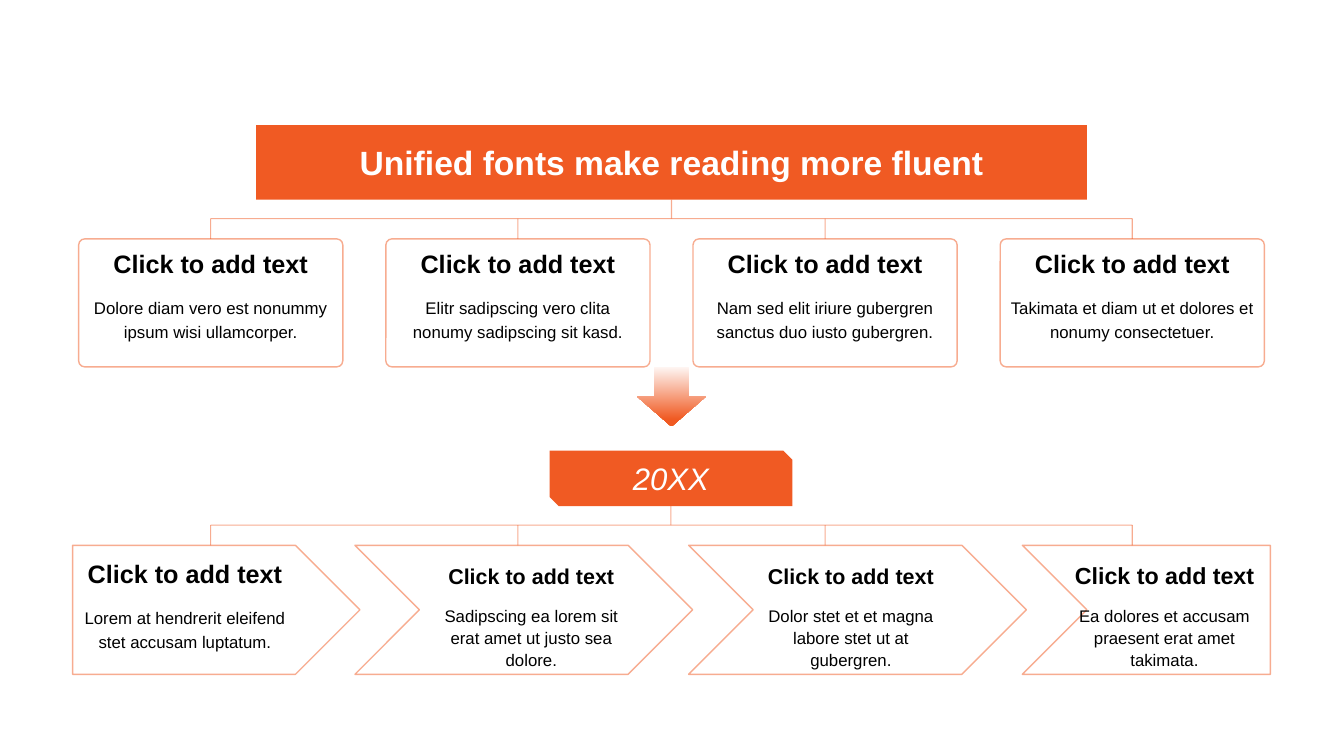
from dataclasses import dataclass

from lxml import etree
from pptx import Presentation
from pptx import util as u
from pptx.dml.color import RGBColor
from pptx.enum import shapes, text
from pptx.oxml import ns


@dataclass(frozen=True)
class Theme:
    font: str = "Arial"
    accent: RGBColor = RGBColor(0xF0, 0x5A, 0x23)
    pale: RGBColor = RGBColor(0xFE, 0xF7, 0xF4)
    white: RGBColor = RGBColor(0xFF, 0xFF, 0xFF)
    ink: RGBColor = RGBColor(0, 0, 0)
    title: float = 24
    year: float = 22.2
    heading: float = 18
    body: float = 12
    rule: float = 0.75
    outline: float = 1


@dataclass(frozen=True)
class Box:
    left: float
    top: float
    width: float
    height: float

    def inches(self):
        return [u.Inches(v) for v in (self.left, self.top, self.width, self.height)]

    @property
    def center(self):
        return self.left + self.width / 2

    @property
    def bottom(self):
        return self.top + self.height


THEME = Theme()
PRESET = shapes.MSO_SHAPE
HEADING = "Click to add text"
FIRST_CENTER, LAST_CENTER = 2.09, 11.23
CENTERS = [FIRST_CENTER + i * (LAST_CENTER - FIRST_CENTER) / 3 for i in range(4)]
CARDS = [
    "Dolore diam vero est nonummy ipsum wisi ullamcorper.",
    "Elitr sadipscing vero clita nonumy sadipscing sit kasd.",
    "Nam sed elit iriure gubergren sanctus duo iusto gubergren.",
    "Takimata et diam ut et dolores et nonumy consectetuer.",
]
STAGES = [
    (PRESET.PENTAGON, 0.72, 2.85, 0, 2.23, 18, 1.2,
     "Lorem at hendrerit eleifend stet accusam luptatum."),
    (PRESET.CHEVRON, 3.52, 3.35, 0.76, 1.98, 15.3, 1.1,
     "Sadipscing ea lorem sit erat amet ut justo sea dolore."),
    (PRESET.CHEVRON, 6.83, 3.35, 0.62, 1.98, 15.3, 1.1,
     "Dolor stet et et magna labore stet ut at gubergren."),
    (None, 10.14, 2.46, 0.36, 2.1, 16.6, 1.1,
     "Ea dolores et accusam praesent erat amet takimata."),
]


def write(shape, words, size, color, anchor, bold=False, italic=False, spacing=1.0):
    frame = shape.text_frame
    frame.word_wrap = True
    frame.auto_size = text.MSO_AUTO_SIZE.NONE
    frame.vertical_anchor = anchor
    para = frame.paragraphs[0]
    para.alignment = text.PP_ALIGN.CENTER
    para.line_spacing = spacing
    span = para.add_run()
    span.text = words
    font = span.font
    font.name, font.size, font.color.rgb = THEME.font, u.Pt(size), color
    font.bold, font.italic = bold, italic


def soften(line, width):
    line.color.rgb = THEME.accent
    line.width = u.Pt(width)
    color = line.fill._xPr.find(".//" + ns.qn("a:srgbClr"))
    etree.SubElement(color, ns.qn("a:alpha"), val="50000")


def outline(shape):
    shape.shadow.inherit = False
    shape.fill.background()
    soften(shape.line, THEME.outline)
    return shape


def rule(page, x1, y1, x2, y2):
    line = page.shapes.add_connector(
        shapes.MSO_CONNECTOR.STRAIGHT, *[u.Inches(v) for v in (x1, y1, x2, y2)])
    soften(line.line, THEME.rule)
    etree.SubElement(line._element.spPr, ns.qn("a:effectLst"))
    return line


def caption(page, box, body, size, spacing):
    heading = page.shapes.add_textbox(*Box(box.left, box.top, box.width, 0.44).inches())
    write(heading, HEADING, size, THEME.ink, text.MSO_ANCHOR.BOTTOM, bold=True)
    detail = page.shapes.add_textbox(*Box(box.left, box.top + 0.49, box.width, 0.75).inches())
    write(detail, body, THEME.body, THEME.ink, text.MSO_ANCHOR.TOP, spacing=spacing)


def title_banner(page, box):
    banner = page.shapes.title
    banner.left, banner.top, banner.width, banner.height = box.inches()
    geometry = etree.SubElement(
        banner._element.spPr, ns.qn("a:prstGeom"), prst="snip2DiagRect")
    etree.SubElement(geometry, ns.qn("a:avLst"))
    banner.fill.solid()
    banner.fill.fore_color.rgb = THEME.accent
    write(banner, "Unified fonts make reading more fluent", THEME.title,
          THEME.white, text.MSO_ANCHOR.MIDDLE, bold=True)


def year_banner(page, box):
    banner = page.shapes.add_shape(PRESET.SNIP_2_DIAG_RECTANGLE, *box.inches())
    banner.shadow.inherit = False
    banner.fill.solid()
    banner.fill.fore_color.rgb = THEME.accent
    banner.line.fill.background()
    write(banner, "20XX", THEME.year, THEME.white, text.MSO_ANCHOR.MIDDLE, italic=True)


def down_arrow(page, box):
    arrow = page.shapes.add_shape(PRESET.DOWN_ARROW, *box.inches())
    arrow.shadow.inherit = False
    arrow.line.fill.background()
    arrow.fill.gradient()
    arrow.fill.gradient_angle = 270
    stops = arrow.fill.gradient_stops
    for stop, color, position in zip(stops, (THEME.pale, THEME.accent), (0, 0.88)):
        stop.color.rgb = color
        stop.position = position


def branches(page, banner, bottom):
    level = banner.bottom + 0.19
    rule(page, banner.center, banner.bottom, banner.center, level)
    rule(page, LAST_CENTER, level, FIRST_CENTER, level)
    return [rule(page, center, level, center, bottom) for center in CENTERS]


def card(page, box, body, branch):
    frame = outline(page.shapes.add_shape(PRESET.ROUNDED_RECTANGLE, *box.inches()))
    frame.adjustments[0] = 0.048
    branch.end_connect(frame, 0)
    caption(page, box, body, THEME.heading, 1.2)


def notched_end(page, box):
    right, middle = box.left + box.width, box.top + box.height / 2
    corners = [(box.left, box.top), (box.left + box.height / 2, middle),
               (box.left, box.bottom), (right, box.bottom)]
    builder = page.shapes.build_freeform(u.Inches(right), u.Inches(box.top))
    builder.add_line_segments([(u.Inches(x), u.Inches(y)) for x, y in corners], close=True)
    return builder.convert_to_shape()


def stage(page, box, preset, offset, width, size, spacing, body):
    if preset is None:
        outline(notched_end(page, box))
    else:
        outline(page.shapes.add_shape(preset, *box.inches()))
    caption(page, Box(box.left + offset, box.top + 0.04, width, box.height),
            body, size, spacing)


def flow_slide(deck):
    page = deck.slides.add_slide(deck.slide_layouts[5])
    headline, year = Box(2.54, 1.24, 8.24, 0.74), Box(5.45, 4.47, 2.41, 0.55)
    card_top, stage_top = 2.37, 5.41
    down_arrow(page, Box(6.32, 3.64, 0.68, 0.59))
    title_banner(page, headline)
    card_branches = branches(page, headline, card_top)
    year_banner(page, year)
    branches(page, year, stage_top)
    for center, body, branch in zip(CENTERS, CARDS, card_branches):
        card(page, Box(center - 1.31, card_top, 2.62, 1.27), body, branch)
    for preset, left, width, *details in STAGES:
        stage(page, Box(left, stage_top, width, 1.28), preset, *details)


def main():
    deck = Presentation()
    deck.slide_width, deck.slide_height = u.Inches(13.33), u.Inches(7.5)
    flow_slide(deck)
    deck.save("out.pptx")


if __name__ == "__main__":
    main()
